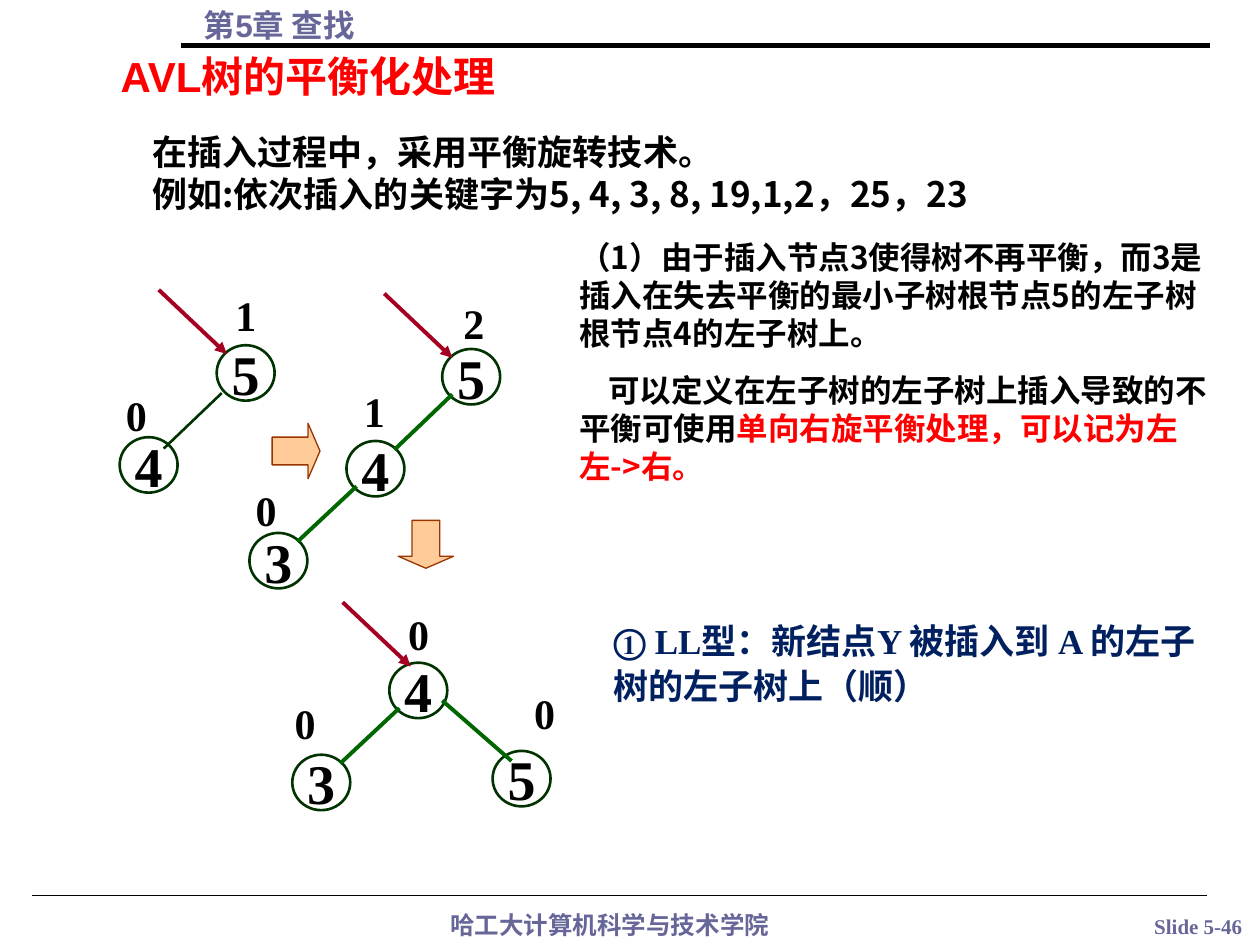
from dataclasses import dataclass

from lxml import etree
from pptx import Presentation
from pptx.dml.color import RGBColor
from pptx.enum import shapes, text
from pptx.oxml import ns
from pptx.util import Inches, Pt


@dataclass(frozen=True)
class Theme:
    black: str = "000000"
    muted: str = "666699"
    red: str = "FF0000"
    navy: str = "002060"
    node_green: str = "003300"
    edge_green: str = "006600"
    pointer: str = "A50021"
    step_fill: str = "FFCC99"
    step_line: str = "993300"
    cjk: str = "Noto Sans CJK SC"
    sans: str = "Arial"
    serif: str = "Times New Roman"
    key: int = 32
    title: int = 24
    body: int = 20
    note: int = 18
    footer: int = 14
    number: int = 12


THEME = Theme()
ALIGN = text.PP_ALIGN
NODE_W, NODE_H = 0.46, 0.44


def apply(target, values):
    for name, value in values.items():
        setattr(target, name, value)


def add_run(paragraph, words, font, size, color):
    run = paragraph.add_run()
    run.text = words
    apply(run.font, {"name": font, "size": Pt(size), "bold": True})
    run.font.color.rgb = RGBColor.from_string(color)
    east_asian = etree.SubElement(run._r.get_or_add_rPr(), ns.qn("a:ea"))
    east_asian.set("typeface", THEME.cjk)


def add_text(slide, box, paragraphs, font, size):
    """Each paragraph is (list of (words, color), paragraph format)."""
    frame = slide.shapes.add_textbox(*map(Inches, box)).text_frame
    frame.word_wrap = True
    for i, (runs, layout) in enumerate(paragraphs):
        paragraph = frame.add_paragraph() if i else frame.paragraphs[0]
        apply(paragraph, layout)
        for words, color in runs:
            add_run(paragraph, words, font, size, color)
    return frame


def add_line(slide, start, end, color, width, arrow=False):
    line = slide.shapes.add_connector(
        shapes.MSO_CONNECTOR.STRAIGHT, *map(Inches, (*start, *end)))
    line.line.color.rgb = RGBColor.from_string(color)
    line.line.width = Pt(width)
    if arrow:
        tail = etree.SubElement(line.line._get_or_add_ln(), ns.qn("a:tailEnd"))
        tail.set("type", "triangle")
    etree.SubElement(line._element.spPr, ns.qn("a:effectLst"))


def add_outlined(slide, kind, box, color, width):
    shape = slide.shapes.add_shape(kind, *map(Inches, box))
    shape.shadow.inherit = False
    shape.line.color.rgb = RGBColor.from_string(color)
    shape.line.width = Pt(width)
    return shape


def shift(point, offset):
    return point[0] + offset[0], point[1] + offset[1]


def add_node(slide, corner, key):
    node = add_outlined(slide, shapes.MSO_SHAPE.OVAL,
                        (*corner, NODE_W, NODE_H), THEME.node_green, 1.5)
    node.fill.background()
    frame = node.text_frame
    apply(frame, {"word_wrap": False,
                  "vertical_anchor": text.MSO_ANCHOR.MIDDLE})
    frame.paragraphs[0].alignment = ALIGN.CENTER
    add_run(frame.paragraphs[0], key, THEME.serif, THEME.key, THEME.black)


def add_tree(slide, root, nodes, edges, pointer=(-0.46, -0.44),
             edge_style=(THEME.edge_green, 2.25)):
    """Nodes map key -> (offset from root, balance factor, label offset).

    Edges are (parent, child, offset in parent, offset in child).
    """
    corners = {key: shift(root, node[0]) for key, node in nodes.items()}
    for key, (_, balance, label_offset) in nodes.items():
        add_node(slide, corners[key], key)
        add_text(slide, (*shift(corners[key], label_offset), 0.39, 0.5),
                 [([(balance, THEME.black)], {})], THEME.serif, THEME.title)
    for parent, child, leave, enter in edges:
        add_line(slide, shift(corners[parent], leave),
                 shift(corners[child], enter), *edge_style)
    # Pointer to the root
    start = shift(root, pointer)
    add_line(slide, start, shift(start, (0.54, 0.51)), THEME.pointer, 2.25, True)


def add_step(slide, box, rotation=0):
    step = add_outlined(slide, shapes.MSO_SHAPE.RIGHT_ARROW, box,
                        THEME.step_line, 0.75)
    step.fill.solid()
    step.fill.fore_color.rgb = RGBColor.from_string(THEME.step_fill)
    step.adjustments[0], step.adjustments[1] = 0.5, 0.25
    step.rotation = rotation


def add_frame(slide, box):
    """Chapter header, footer and their rules."""
    x, y, w, h = box
    add_text(slide, (x + 1.52, y, 8.03, 0.4),
             [([("第5章 查找", THEME.muted)], {})], THEME.sans, THEME.note)
    add_line(slide, (x + 1.44, y + 0.36), (x + w - 0.4, y + 0.36),
             THEME.black, 3)
    bottom = y + h
    add_line(slide, (x + 0.25, bottom - 0.39), (x + w - 0.42, bottom - 0.39),
             THEME.black, 0.75)
    centered = {"alignment": ALIGN.CENTER}
    add_text(slide, (x + 3.04, bottom - 0.33, 3.6, 0.34),
             [([("哈工大计算机科学与技术学院", THEME.muted)], centered)],
             THEME.cjk, THEME.footer)
    add_text(slide, (x + w - 1.23, bottom - 0.3, 1.48, 0.3),
             [([("Slide 5-46", THEME.muted)], centered)],
             THEME.serif, THEME.number)


def add_explanation(slide, box):
    """Title, example and rotation rule."""
    x, y, _, _ = box
    add_text(slide, (x, y, 4.11, 0.5),
             [([("AVL树的平衡化处理", THEME.red)], {})],
             THEME.sans, THEME.title)
    add_text(slide, (x + 0.25, y + 0.55, 8.65, 0.85), [
        ([("在插入过程中，采用平衡旋转技术。", THEME.black)],
         {"line_spacing": 1.25}),
        ([("例如:依次插入的关键字为5, 4, 3, 8, 19,1,2，25，23", THEME.black)], {}),
    ], THEME.cjk, THEME.body)
    rule = add_text(slide, (x + 3.64, y + 1.49, 5.28, 2.06), [
        ([("（1）由于插入节点3使得树不再平衡，而3是插入在失去平衡的最小子树"
           "根节点5的左子树根节点4的左子树上。", THEME.black)], {}),
        ([("可以定义在左子树的左子树上插入导致的不平衡可使用", THEME.black),
          ("单向右旋平衡处理，可以记为左左->右。", THEME.red)],
         {"space_before": Pt(11.2)}),
    ], THEME.cjk, THEME.note)
    rule.paragraphs[1]._p.get_or_add_pPr().set("indent", str(Inches(0.23)))
    add_text(slide, (x + 3.91, y + 4.49, 5, 0.82),
             [([("① LL型：新结点Y 被插入到 A 的左子树的左子树上（顺）", THEME.navy)],
               {"line_spacing": Pt(26)})], THEME.serif, THEME.body)


def add_rotation(slide, box):
    """Insertion of 4, insertion of 3, then the rotated tree."""
    x, y, _, _ = box
    left = (0.08, 0.36), (0.38, 0.07)
    right = (0.42, 0.3), (0.15, 0.08)
    add_tree(slide, (x + 0.82, y + 0.49), {
        "5": ((0, 0), "1", (0.05, -0.49)),
        "4": ((-0.77, 0.73), "0", (-0.05, -0.43)),
    }, [("5", "4", (0.04, 0.38), (0.35, 0.09))],
        edge_style=(THEME.node_green, 1.5))
    add_step(slide, (x + 1.26, y + 1.11, 0.38, 0.44))
    add_tree(slide, (x + 2.61, y + 0.52), {
        "5": ((0, 0), "2", (0.07, -0.46)),
        "4": ((-0.76, 0.73), "1", (0.04, -0.49)),
        "3": ((-1.53, 1.46), "0", (-0.05, -0.43)),
    }, [("5", "4", *left), ("4", "3", *left)])
    add_step(slide, (x + 2.29, y + 1.85, 0.38, 0.44), 90)
    add_tree(slide, (x + 2.19, y + 3.01), {
        "4": ((0, 0), "0", (0.05, -0.48)),
        "3": ((-0.77, 0.73), "0", (-0.08, -0.5)),
        "5": ((0.82, 0.7), "0", (0.23, -0.55)),
    }, [("4", "3", *left), ("4", "5", *right)], pointer=(-0.37, -0.48))


def main():
    deck = Presentation()
    apply(deck, {"slide_width": Inches(10), "slide_height": Inches(7.5)})
    slide = deck.slides.add_slide(deck.slide_layouts[6])
    add_frame(slide, (0, 0, 10, 7.5))
    add_explanation(slide, (0.86, 0.35, 8.92, 5.31))
    add_rotation(slide, (0.9, 2.25, 3.63, 4.18))
    deck.save("out.pptx")


if __name__ == "__main__":
    main()
